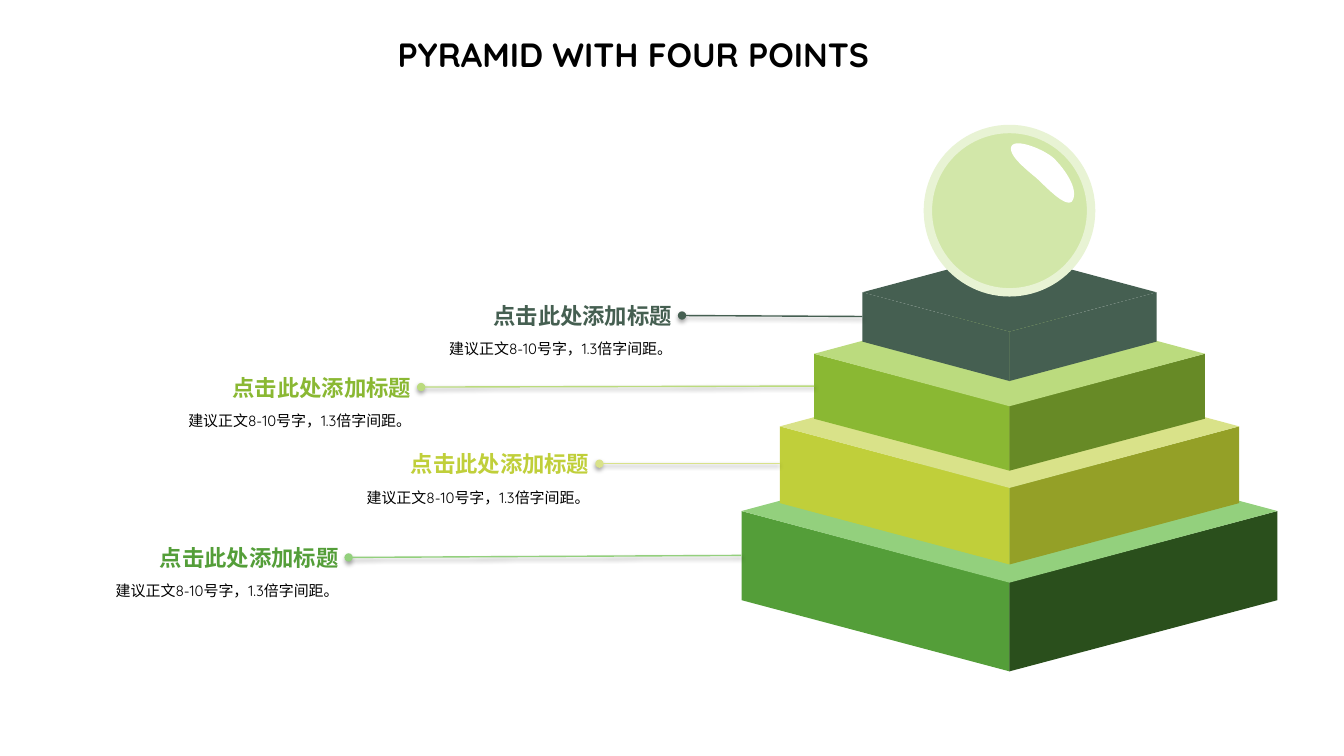
"""Build a slide with a four-tier pyramid, a sphere on top and four labels."""
from dataclasses import dataclass
from lxml import etree
from pptx import Presentation
from pptx import util as u
from pptx.dml.color import RGBColor
from pptx.enum import shapes, text
from pptx.oxml import parse_xml
from pptx.oxml.ns import nsdecls, qn

PX = 9144


@dataclass(frozen=True)
class Theme:
    font: str = "Quicksand"
    ink: str = "000000"
    sphere: str = "D2E7A9"
    sphere_rim: str = "E8F3D4"
    highlight: str = "FFFFFF"
    title_size: float = 24
    heading_size: float = 16
    body_size: float = 10.7


theme = Theme()


def paint(shape, color):
    """Give a shape a plain fill with no outline or shadow."""
    shape.shadow.inherit = False
    shape.fill.solid()
    shape.fill.fore_color.rgb = RGBColor.from_string(color)
    shape.line.fill.background()


def write(shape, words, size, color, bold, align, wrap, spacing=1.0):
    """Put one formatted paragraph into a shape."""
    frame = shape.text_frame
    frame.text = words
    paragraph = frame.paragraphs[0]
    frame_format = {"word_wrap": wrap, "vertical_anchor": text.MSO_ANCHOR.TOP,
                    "margin_left": 10 * PX, "margin_right": 10 * PX,
                    "margin_top": 5 * PX, "margin_bottom": 5 * PX}
    paragraph_format = {"alignment": align, "line_spacing": spacing, "space_before": u.Pt(0)}
    font_format = {"name": theme.font, "size": u.Pt(size), "bold": bold}
    for target, values in ((frame, frame_format), (paragraph, paragraph_format),
                           (paragraph.runs[0].font, font_format)):
        for name, value in values.items():
            setattr(target, name, value)
    paragraph.runs[0].font.color.rgb = RGBColor.from_string(color)


presentation = Presentation()
presentation.slide_width = 1334 * PX
presentation.slide_height = 750 * PX
slide = presentation.slides.add_slide(presentation.slide_layouts[5])

title = slide.shapes.title
title.left, title.top, title.width, title.height = (v * PX for v in (364, 26, 529, 56))
write(title, "PYRAMID WITH FOUR POINTS", theme.title_size, theme.ink, True,
      text.PP_ALIGN.CENTER, True)
title.text_frame.vertical_anchor = text.MSO_ANCHOR.MIDDLE

axis = 1002
slant = 0.444
tiers = [
    {"half": 266, "face": 159, "shoulder": 507, "colors": ("549E39", "93D07D", "2A4F1C"),
     "label": (346, 535), "line_end": 551},
    {"half": 228, "face": 137, "shoulder": 423, "colors": ("C0CF3A", "D9E289", "94A027"),
     "label": (595, 442), "line_end": 460},
    {"half": 194, "face": 116, "shoulder": 351, "colors": ("8AB833", "BBDB7E", "678A26"),
     "label": (418, 366), "line_end": 383},
    {"half": 146, "face": 88, "shoulder": 290, "colors": ("455F51", "455F51", "455F51"),
     "label": (677, 295), "line_end": 314},
]

for tier in tiers:
    half, face, shoulder = tier["half"], tier["face"], tier["shoulder"]
    left_color, top_color, right_color = tier["colors"]
    rise = round(slant * face)
    face_top = shoulder + (face - half) / 2

    def_sides = ((axis - half / 2, 90, left_color), (axis + half / 2, 270, right_color))
    for center, rotation, color in def_sides:
        side = slide.shapes.add_shape(
            shapes.MSO_SHAPE.PARALLELOGRAM, u.Emu(int((center - face / 2) * PX)),
            u.Emu(int(face_top * PX)), face * PX, half * PX)
        side.adjustments[0] = slant
        side.rotation = rotation
        paint(side, color)
        if rotation == 270:
            side.element.spPr.find(qn("a:xfrm")).set("flipH", "1")

    lid = slide.shapes.add_shape(
        shapes.MSO_SHAPE.DIAMOND, (axis - half) * PX, (shoulder - rise) * PX,
        2 * half * PX, 2 * rise * PX)
    paint(lid, top_color)

sphere = slide.shapes.add_shape(shapes.MSO_SHAPE.OVAL, 921 * PX, 128 * PX, 162 * PX, 162 * PX)
paint(sphere, theme.sphere)
sphere.line.color.rgb = RGBColor.from_string(theme.sphere_rim)
sphere.line.width = u.Pt(6)

start = (1004, 145)
curves = [((1008, 137), (1036, 148), (1046, 157)),
          ((1056, 167), (1072, 188), (1064, 200)),
          ((1057, 206), (1038, 185), (1028, 176)),
          ((1017, 167), (1000, 153), (1004, 145))]
steps = 16
outline = []
corner = start
for curve in curves:
    for step in range(1, steps + 1):
        t = step / steps
        weights = ((1 - t) ** 3, 3 * t * (1 - t) ** 2, 3 * t ** 2 * (1 - t), t ** 3)
        outline.append(tuple(
            PX * sum(weight * point[i] for weight, point in zip(weights, (corner, *curve)))
            for i in (0, 1)))
    corner = curve[-1]
builder = slide.shapes.build_freeform(start[0] * PX, start[1] * PX)
builder.add_line_segments(outline, close=True)
paint(builder.convert_to_shape(), theme.highlight)

for tier in reversed(tiers):
    right, top = tier["label"]
    heading_color, line_color, _ = tier["colors"]

    body = slide.shapes.add_textbox((right - 260) * PX, (top + 32) * PX, 260 * PX, 31 * PX)
    write(body, "建议正文8-10号字，1.3倍字间距。", theme.body_size, theme.ink, False,
          text.PP_ALIGN.RIGHT, True, 1.3)
    heading = slide.shapes.add_textbox((right - 200) * PX, top * PX, 200 * PX, 37 * PX)
    write(heading, "点击此处添加标题", theme.heading_size, heading_color, True,
          text.PP_ALIGN.RIGHT, False)

    leader = slide.shapes.add_connector(
        shapes.MSO_CONNECTOR.STRAIGHT, right * PX, (top + 18) * PX,
        (axis - tier["half"]) * PX, tier["line_end"] * PX)
    leader.line.color.rgb = RGBColor.from_string(line_color)
    leader.line.width = u.Pt(1)
    etree.SubElement(leader.line._get_or_add_ln(), qn("a:headEnd"), type="oval")
    leader.element.spPr.append(parse_xml(
        f'<a:effectLst {nsdecls("a")}><a:outerShdw blurRad="40000" dist="20000" dir="5400000" '
        'rotWithShape="0"><a:srgbClr val="000000"><a:alpha val="38000"/></a:srgbClr>'
        '</a:outerShdw></a:effectLst>'))

presentation.save("out.pptx")
